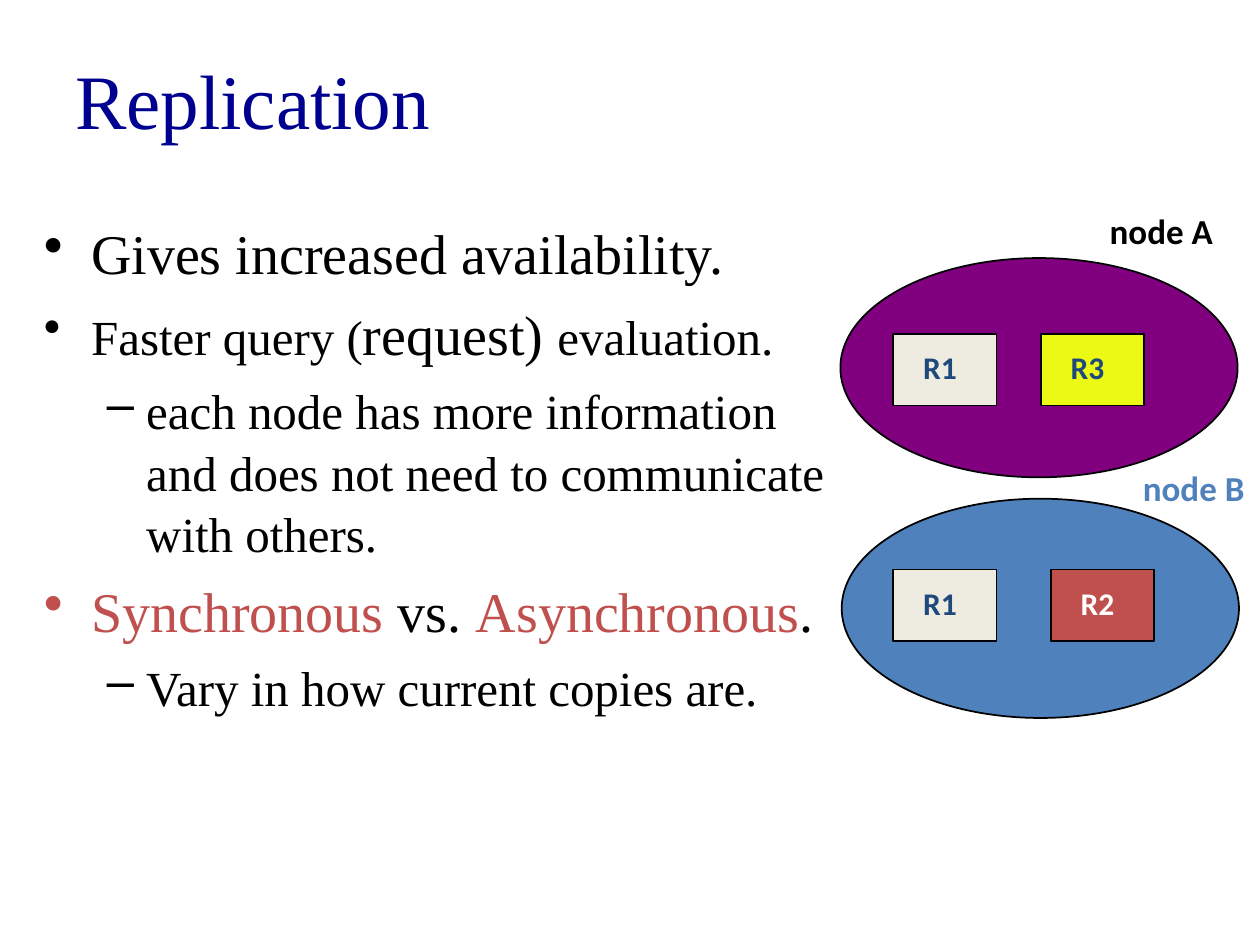
"""Build the Replication slide with two nodes and their stored relations."""
import pptx
import pptx.util
import pptx.dml.color
import pptx.enum.shapes
import pptx.enum.text
import pptx.oxml
import pptx.oxml.ns
import lxml.etree

Pt = pptx.util.Pt
RGBColor = pptx.dml.color.RGBColor
SHAPES = pptx.enum.shapes.MSO_SHAPE
ANCHOR = pptx.enum.text.MSO_ANCHOR

NAVY = RGBColor(0x00, 0x00, 0x90)
BLACK = RGBColor(0x00, 0x00, 0x00)
WHITE = RGBColor(0xFF, 0xFF, 0xFF)
RED = RGBColor(0xC0, 0x50, 0x4D)
BLUE = RGBColor(0x4F, 0x81, 0xBD)
DARK_BLUE = RGBColor(0x1F, 0x49, 0x7D)
PURPLE = RGBColor(0x80, 0x00, 0x80)
CREAM = RGBColor(0xEE, 0xEC, 0xE1)
YELLOW = RGBColor(0xEB, 0xF9, 0x15)

SERIF = {"name": "Times New Roman"}
LABEL = {"name": "Calibri", "bold": True}


def add_span(para, text, size, color, font):
    span = para.add_run()
    span.text = text
    for name, value in {"size": Pt(size), **font}.items():
        setattr(span.font, name, value)
    span.font.color.rgb = color


def add_outlined(page, kind, left, top, width, height, color):
    shape = page.shapes.add_shape(kind, Pt(left), Pt(top), Pt(width), Pt(height))
    shape.shadow.inherit = False
    shape.fill.solid()
    shape.fill.fore_color.rgb = color
    shape.line.color.rgb = BLACK
    shape.line.width = Pt(1)


deck = pptx.Presentation()
deck.slide_width, deck.slide_height = Pt(720), Pt(540)
page = deck.slides.add_slide(deck.slide_layouts[6])

title = page.shapes.add_textbox(Pt(36), Pt(11.5), Pt(648), Pt(90))
for name, value in {"word_wrap": True, "vertical_anchor": ANCHOR.MIDDLE}.items():
    setattr(title.text_frame, name, value)
add_span(title.text_frame.paragraphs[0], "Replication", 44, NAVY, SERIF)

points = [
    (0, [("Gives increased availability.", 32, BLACK)]),
    (0, [("Faster query (", 28, BLACK), ("request) ", 32, BLACK), ("evaluation.", 28, BLACK)]),
    (1, [("each node has more information and does not need to communicate with others.", 28, BLACK)]),
    (0, [("Synchronous ", 32, RED), ("vs. ", 32, BLACK), ("Asynchronous", 32, RED), (".", 32, BLACK)]),
    (1, [("Vary in how current copies are.", 28, BLACK)]),
]
levels = [("•", 27, -27), ("–", 58.5, -22.5)]

body = page.shapes.add_textbox(Pt(18), Pt(119.5), Pt(474), Pt(372))
body.text_frame.word_wrap = True
for index, (level, spans) in enumerate(points):
    para = body.text_frame.add_paragraph() if index else body.text_frame.paragraphs[0]
    mark, margin, indent = levels[level]
    for name, value in {"level": level, "space_before": Pt(6), "line_spacing": 1.05}.items():
        setattr(para, name, value)
    properties = para._p.get_or_add_pPr()
    properties.set("marL", str(Pt(margin)))
    properties.set("indent", str(Pt(indent)))
    bullet = lxml.etree.SubElement(properties, pptx.oxml.ns.qn("a:buChar"))
    bullet.set("char", mark)
    for text, size, color in spans:
        add_span(para, text, size, color, SERIF)

nodes = [
    (480.25, 147.5, PURPLE, 190.8, [("R1", 510.5, CREAM, DARK_BLUE), ("R3", 594.7, YELLOW, DARK_BLUE)]),
    (481, 285, BLUE, 325.4, [("R1", 510.5, CREAM, DARK_BLUE), ("R2", 600.5, RED, WHITE)]),
]
labels = [
    ("node A", 627, 116, 74, 20, BLACK),
    ("node B", 646, 263, 74, 20, BLUE),
]
for left, top, color, box_top, relations in nodes:
    add_outlined(page, SHAPES.OVAL, left, top, 227, 125.3, color)
    for text, box_left, box_color, text_color in relations:
        add_outlined(page, SHAPES.RECTANGLE, box_left, box_top, 59, 41, box_color)
        labels.append((text, box_left + 10, box_top + 4.7, 44, 18, text_color))

for text, left, top, width, size, color in labels:
    box = page.shapes.add_textbox(Pt(left), Pt(top), Pt(width), Pt(size * 1.6))
    box.text_frame.word_wrap = False
    add_span(box.text_frame.paragraphs[0], text, size, color, LABEL)

deck.save("out.pptx")
